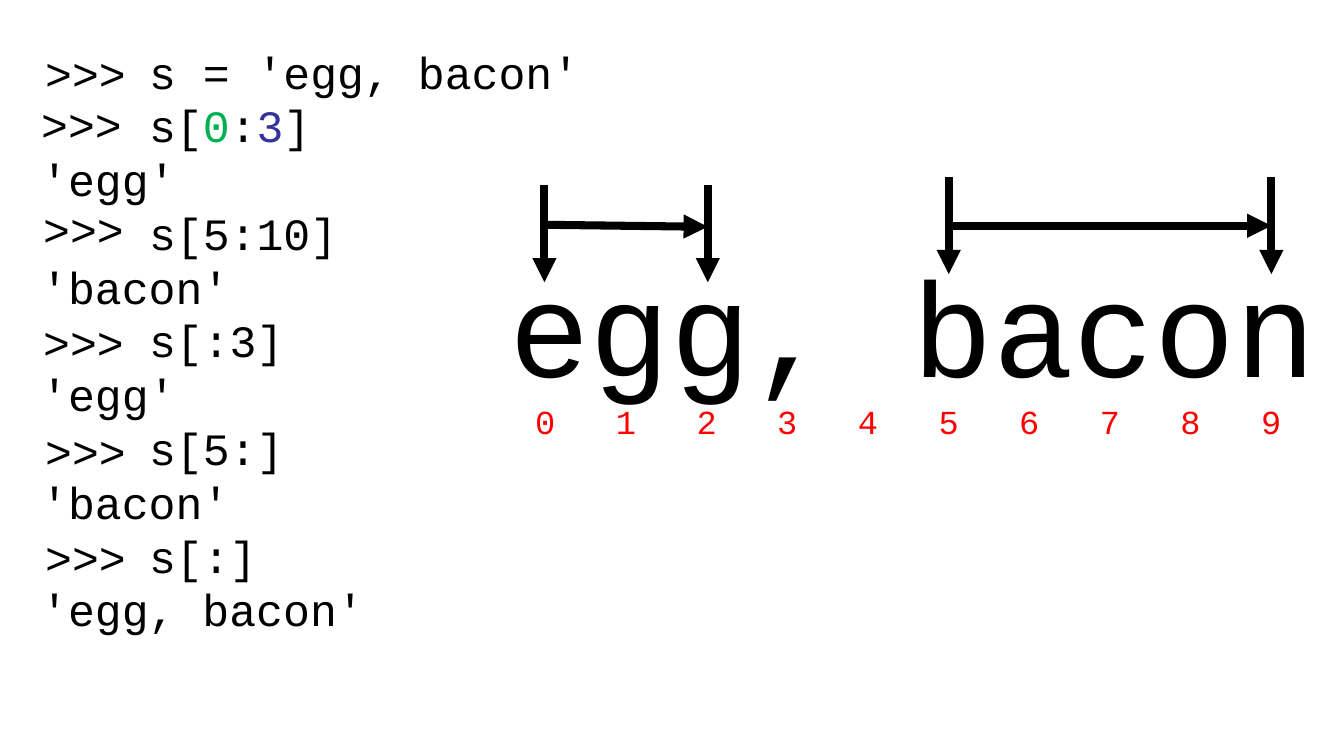
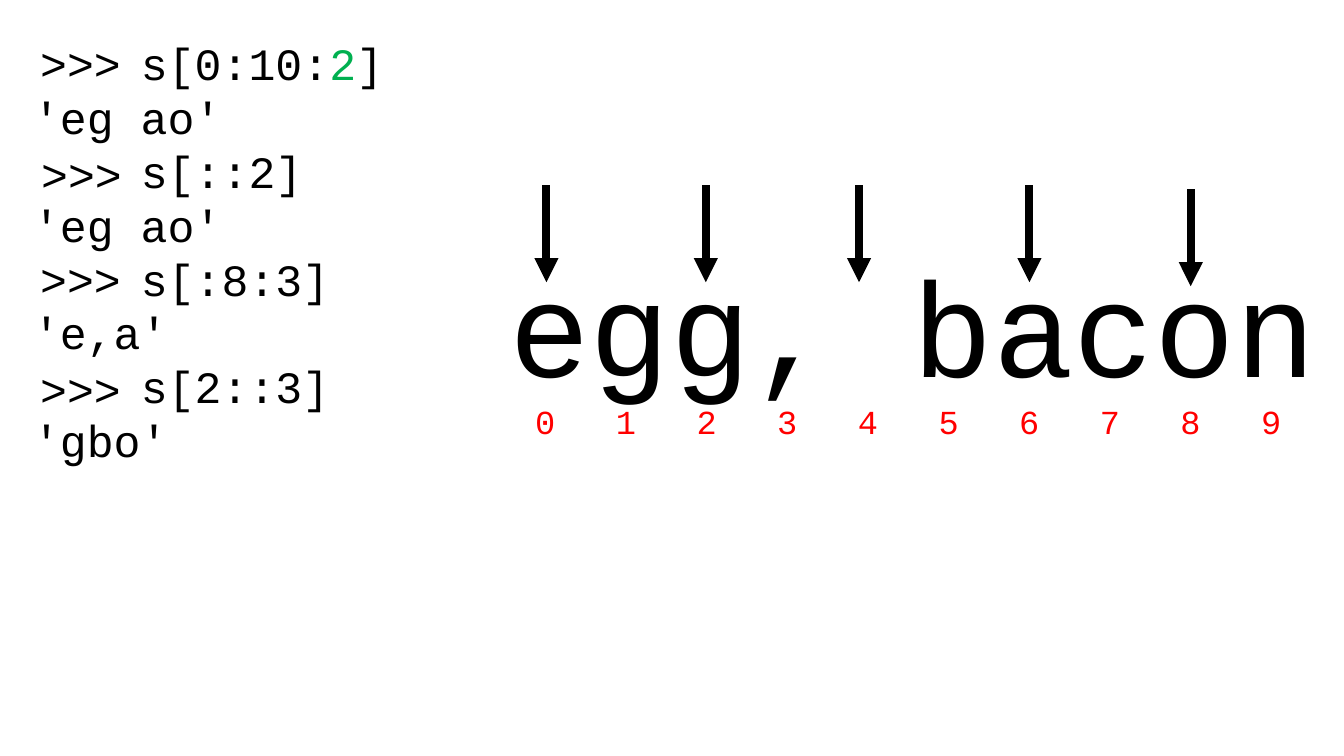
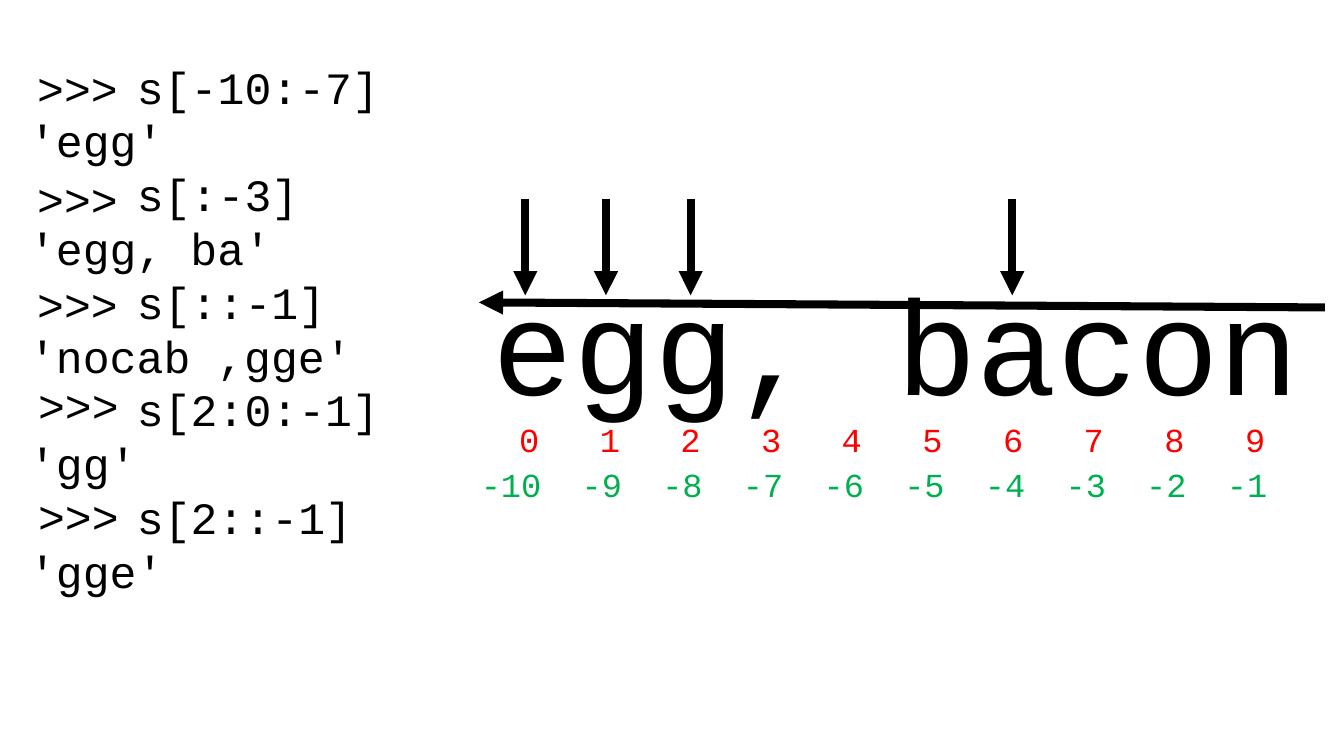
from dataclasses import dataclass

from lxml import etree
from pptx import Presentation
from pptx.dml.color import RGBColor
from pptx.enum.shapes import MSO_CONNECTOR
from pptx.enum.text import MSO_ANCHOR, MSO_AUTO_SIZE
from pptx.oxml.ns import qn
from pptx.util import Inches, Pt

STRAIGHT = MSO_CONNECTOR.STRAIGHT
TOP = MSO_ANCHOR.TOP
GROW = MSO_AUTO_SIZE.SHAPE_TO_FIT_TEXT

BLACK, RED, GREEN, BLUE = "000000", "FF0000", "00B050", "333399"
FRAME = {"word_wrap": True, "auto_size": GROW, "vertical_anchor": TOP}
FONT = {"name": "Courier New", "bold": False, "italic": False}
CODE_SIZE, WORD_SIZE, INDEX_SIZE = 32, 96, 24
CODE_WIDTH, LINE_STEP = 9.34, 0.53
PROMPT_INDENT = 1.07
INDEX_STEP = 0.8
ARROW_DROP = 0.96
ARROW_WEIGHT = 5.75


@dataclass(frozen=True)
class Run:
    """A stretch of text in one colour."""
    text: str
    color: str = BLACK


@dataclass(frozen=True)
class Arrow:
    """A line whose arrowhead is at its second end."""
    x1: float
    y1: float
    x2: float
    y2: float


@dataclass(frozen=True)
class Page:
    """The session, prompts, word and arrows of one slide."""
    code_at: tuple[float, float]
    code: list[list[Run]]
    prompts: list[tuple[float, float]]
    word_at: tuple[float, float]
    arrows: list[Arrow]
    negative: bool = False


def rgb(color: str) -> RGBColor:
    """Turn a hex string into a colour."""
    return RGBColor.from_string(color)


def plain(*texts: str) -> list[list[Run]]:
    """Make one black row from each text."""
    return [[Run(text)] for text in texts]


def drop(x: float, y: float) -> Arrow:
    """Describe an arrow that points down at a letter."""
    return Arrow(x, y, x, y + ARROW_DROP)


def add_text(shapes, at: tuple, size: tuple, rows: list, points: int):
    """Add a text box with one paragraph per row and return its frame."""
    box = shapes.add_textbox(*map(Inches, (*at, *size)))
    frame = box.text_frame
    for key, value in FRAME.items():
        setattr(frame, key, value)
    for i, row in enumerate(rows):
        par = frame.paragraphs[0] if i == 0 else frame.add_paragraph()
        for part in row:
            run = par.add_run()
            run.text = part.text
            run.font.size = Pt(points)
            run.font.color.rgb = rgb(part.color)
            for key, value in FONT.items():
                setattr(run.font, key, value)
    return frame


def add_code(shapes, page: Page) -> None:
    """Add the session, with its input rows set in to clear the prompts."""
    height = 0.1 + LINE_STEP * len(page.code)
    frame = add_text(shapes, page.code_at, (CODE_WIDTH, height), page.code, CODE_SIZE)
    for par in frame.paragraphs:
        if not par.text.startswith("'"):
            props = par._p.get_or_add_pPr()
            props.set("marL", str(Inches(PROMPT_INDENT)))
            props.set("indent", "0")
    for at in page.prompts:
        add_text(shapes, at, (1.03, 0.64), plain(">>>"), CODE_SIZE)


def add_index(shapes, at: tuple, numbers: range, color: str, first: float) -> None:
    """Add a row of numbers, right-aligned on evenly spaced tab stops."""
    text = "".join(f"\t{n}" for n in numbers)
    frame = add_text(shapes, at, (8.48, 0.5), [[Run(text, color)]], INDEX_SIZE)
    props = frame.paragraphs[0]._p.get_or_add_pPr()
    tabs = etree.SubElement(props, qn("a:tabLst"))
    for i in range(len(numbers)):
        stop = Inches(first + i * INDEX_STEP)
        etree.SubElement(tabs, qn("a:tab"), pos=str(stop), algn="r")


def add_word(shapes, page: Page) -> None:
    """Add the big word grouped with its index, and any negative index."""
    x, y = page.word_at
    group = shapes.add_group_shape().shapes
    add_text(group, (x, y), (8.55, 1.72), plain("egg, bacon"), WORD_SIZE)
    add_index(group, (x + 0.06, y + 1.57), range(10), RED, 0.4)
    if page.negative:
        add_index(shapes, (x - 0.12, y + 2.01), range(-10, 0), GREEN, 0.6)


def add_arrow(shapes, arrow: Arrow) -> None:
    """Add a thick black arrow without a shadow."""
    ends = map(Inches, (arrow.x1, arrow.y1, arrow.x2, arrow.y2))
    link = shapes.add_connector(STRAIGHT, *ends)
    link.line.width = Pt(ARROW_WEIGHT)
    link.line.color.rgb = rgb(BLACK)
    etree.SubElement(link.line._get_or_add_ln(), qn("a:tailEnd"), type="triangle")
    etree.SubElement(link._element.spPr, qn("a:effectLst"))


PAGES = [
    Page(
        code_at=(0.31, 0.39),
        code=[
            [Run("s = 'egg, bacon'")],
            [Run("s["), Run("0", GREEN), Run(":"), Run("3", BLUE), Run("]")],
            *plain("'egg'", "s[5:10]", "'bacon'", "s[:3]", "'egg'",
                   "s[5:]", "'bacon'", "s[:]", "'egg, bacon'"),
        ],
        prompts=[(0.35, 0.4), (0.31, 0.91), (0.33, 1.95),
                 (0.33, 3.07), (0.35, 4.15), (0.35, 5.21)],
        word_at=(4.95, 2.36),
        arrows=[
            drop(5.4, 1.84), drop(7.02, 1.84), drop(9.41, 1.76), drop(12.61, 1.76),
            Arrow(5.4, 2.23, 7.02, 2.25), Arrow(9.41, 2.24, 12.61, 2.24),
        ],
    ),
    Page(
        code_at=(0.23, 0.31),
        code=[
            [Run("s[0:10:"), Run("2", GREEN), Run("]")],
            *plain("'eg ao'", "s[::2]", "'eg ao'", "s[:8:3]", "'e,a'",
                   "s[2::3]", "'gbo'"),
        ],
        prompts=[(0.3, 0.31), (0.31, 1.41), (0.3, 2.45), (0.3, 3.54)],
        word_at=(4.95, 2.36),
        arrows=[drop(5.42, 1.84), drop(7, 1.84), drop(8.52, 1.84),
                drop(10.21, 1.84), drop(11.81, 1.88)],
    ),
    Page(
        code_at=(0.19, 0.54),
        code=plain("s[-10:-7]", "'egg'", "s[:-3]", "'egg, ba'", "s[::-1]",
                   "'nocab ,gge'", "s[2:0:-1]", "'gg'", "s[2::-1]", "'gge'"),
        prompts=[(0.27, 0.55), (0.27, 1.65), (0.27, 2.7), (0.28, 3.7), (0.28, 4.8)],
        word_at=(4.79, 2.54),
        arrows=[*(drop(x, 1.97) for x in (5.21, 6.01, 6.85, 10.04)),
                Arrow(13.14, 3.05, 4.75, 3)],
        negative=True,
    ),
]


def main() -> None:
    """Build the slides and save them."""
    deck = Presentation()
    deck.slide_width, deck.slide_height = Inches(13.33), Inches(7.5)
    for page in PAGES:
        shapes = deck.slides.add_slide(deck.slide_layouts[6]).shapes
        add_code(shapes, page)
        add_word(shapes, page)
        for arrow in page.arrows:
            add_arrow(shapes, arrow)
    deck.save("out.pptx")


main()
